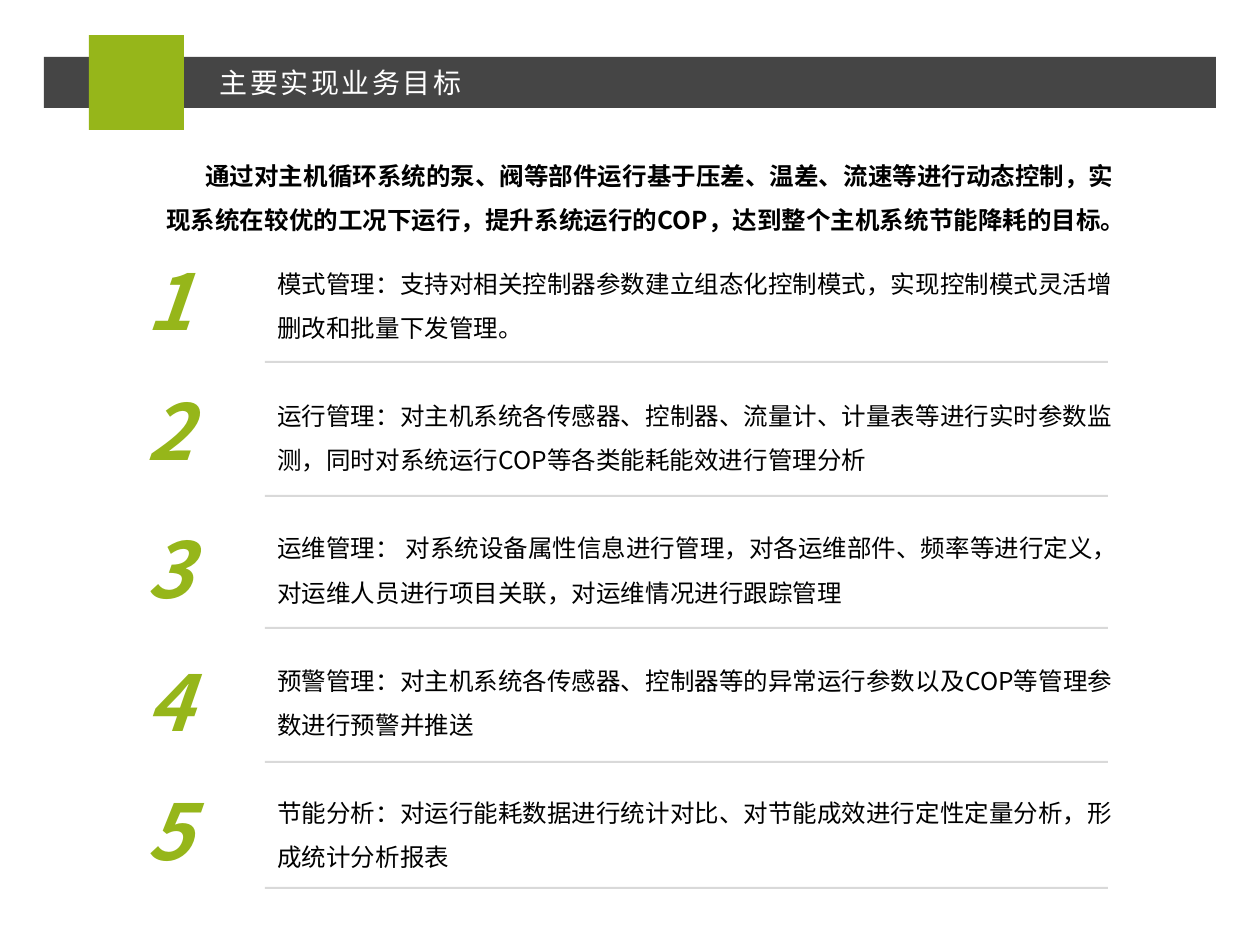
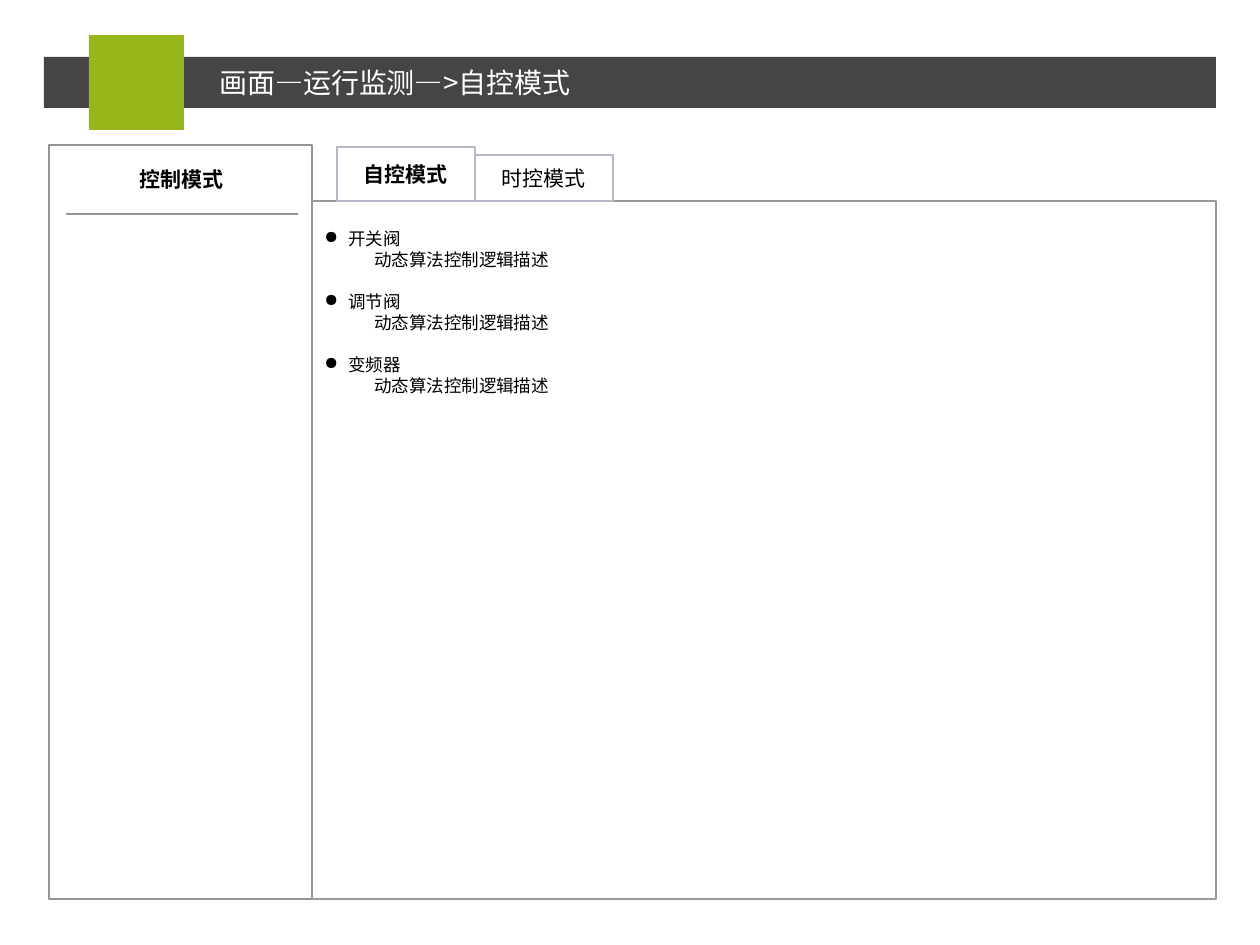
from dataclasses import dataclass

from lxml.etree import SubElement
from pptx import Presentation
from pptx.dml.color import RGBColor
from pptx.enum.shapes import MSO_CONNECTOR as Connector, MSO_SHAPE as Shape
from pptx.enum.text import MSO_ANCHOR as Anchor, MSO_AUTO_SIZE as AutoSize, PP_ALIGN as Align
from pptx.oxml.ns import qn
from pptx.util import Inches, Pt

TITLE_ONLY = 5
PX_PER_INCH = 126


@dataclass(frozen=True)
class Theme:
    font: str = "Noto Sans CJK SC"
    band: str = "454545"
    accent: str = "96B61A"
    white: str = "FFFFFF"
    ink: str = "000000"
    divider: str = "D9D9D9"
    sidebar_line: str = "939393"
    panel_line: str = "9A9A9A"
    tab_line: str = "B5B8C8"
    title_size: int = 16
    goal_size: int = 14
    numeral_size: int = 44
    tab_size: int = 12
    device_size: int = 10
    goal_leading: float = 25.2
    numeral_leading: float = 52.8
    device_leading: float = 12


THEME = Theme()

INTRO = ("通过对主机循环系统的泵、阀等部件运行基于压差、温差、流速等进行动态控制，"
         "实现系统在较优的工况下运行，提升系统运行的COP，达到整个主机系统节能降耗的目标。")

# numeral top, divider top, wording
GOALS = (
    (247, 361, "模式管理：支持对相关控制器参数建立组态化控制模式，实现控制模式灵活增删改和批量下发管理。"),
    (377, 495, "运行管理：对主机系统各传感器、控制器、流量计、计量表等进行实时参数监测，"
               "同时对系统运行COP等各类能耗能效进行管理分析"),
    (515, 627, "运维管理： 对系统设备属性信息进行管理，对各运维部件、频率等进行定义，"
               "对运维人员进行项目关联，对运维情况进行跟踪管理"),
    (648, 761, "预警管理：对主机系统各传感器、控制器等的异常运行参数以及COP等管理参数进行预警并推送"),
    (777, 887, "节能分析：对运行能耗数据进行统计对比、对节能成效进行定性定量分析，形成统计分析报表"),
)

DEVICES = ("开关阀", "调节阀", "变频器")
DEVICE_NOTE = "动态算法控制逻辑描述"


def px(length):
    return round(length * Inches(1) / PX_PER_INCH)


def rgb(color):
    return RGBColor.from_string(color)


def add_run(paragraph, text, size, color=THEME.ink, bold=False, italic=False):
    run = paragraph.add_run()
    run.text = text
    font = run.font
    font.size, font.bold, font.italic = Pt(size), bold, italic
    font.color.rgb = rgb(color)
    font.name = THEME.font
    SubElement(font._element, qn("a:ea"), typeface=THEME.font)
    return run


def add_box(slide, bounds, fill=None, line=None):
    box = slide.shapes.add_shape(Shape.RECTANGLE, *map(px, bounds))
    box.shadow.inherit = False
    if fill:
        box.fill.solid()
        box.fill.fore_color.rgb = rgb(fill)
    else:
        box.fill.background()
    if line:
        box.line.color.rgb = rgb(line)
        box.line.width = Pt(1)
    else:
        box.line.fill.background()
    return box


def add_label_box(slide, bounds, label, bold=False, fill=None, line=None):
    frame = add_box(slide, bounds, fill, line).text_frame
    frame.vertical_anchor = Anchor.MIDDLE
    frame.paragraphs[0].alignment = Align.CENTER
    add_run(frame.paragraphs[0], label, THEME.tab_size, bold=bold)


def add_text_frame(slide, bounds):
    frame = slide.shapes.add_textbox(*map(px, bounds)).text_frame
    frame.word_wrap = True
    return frame


def next_paragraph(frame, leading, space_before=0):
    """Return the empty first paragraph, or a new one set apart by space_before."""
    if frame.paragraphs[0].runs:
        paragraph = frame.add_paragraph()
        paragraph.space_before = Pt(space_before)
    else:
        paragraph = frame.paragraphs[0]
    paragraph.line_spacing = Pt(leading)
    return paragraph


def set_indent(paragraph, left, first_line):
    properties = paragraph._p.get_or_add_pPr()
    properties.set("marL", str(px(left)))
    properties.set("indent", str(px(first_line)))
    return properties


def add_rule(slide, left, right, y, color):
    rule = slide.shapes.add_connector(Connector.STRAIGHT, px(left), px(y), px(right), px(y))
    rule.line.color.rgb = rgb(color)
    rule.line.width = Pt(1)
    SubElement(rule._element.spPr, qn("a:effectLst"))


def add_titled_slide(deck, wording, title_width, tracking=0):
    slide = deck.slides.add_slide(deck.slide_layouts[TITLE_ONLY])
    add_box(slide, (44, 57, 1172, 51), fill=THEME.band)
    add_box(slide, (89, 35, 95, 95), fill=THEME.accent)

    title = slide.shapes.title
    title.left, title.top, title.width, title.height = map(px, (207, 64, title_width, 37))
    slide.shapes._spTree.append(title._element)  # bring in front of the band
    frame = title.text_frame
    frame.auto_size = AutoSize.NONE
    frame.vertical_anchor = Anchor.MIDDLE
    frame.paragraphs[0].alignment = Align.LEFT
    run = add_run(frame.paragraphs[0], wording, THEME.title_size, THEME.white)
    if tracking:
        run.font._element.set("spc", str(tracking))
    return slide


def build_goals(deck):
    slide = add_titled_slide(deck, "主要实现业务目标", 469, tracking=150)

    goals = add_text_frame(slide, (265, 248, 871, 680))
    for numeral, (numeral_top, divider_top, wording) in enumerate(GOALS, 1):
        goal = next_paragraph(goals, THEME.goal_leading, THEME.goal_leading)
        add_run(goal, wording, THEME.goal_size)
        badge = add_text_frame(slide, (134, numeral_top, 110, 106))
        add_run(next_paragraph(badge, THEME.numeral_leading), str(numeral),
                THEME.numeral_size, THEME.accent, bold=True, italic=True)
        add_box(slide, (265, divider_top, 843, 2), fill=THEME.divider)

    intro = next_paragraph(add_text_frame(slide, (154, 140, 983, 102)), THEME.goal_leading)
    set_indent(intro, 0, 39)
    add_run(intro, INTRO, THEME.goal_size, bold=True)


def add_device_panel(slide, bounds):
    frame = add_box(slide, bounds, line=THEME.panel_line).text_frame
    frame.vertical_anchor = Anchor.TOP
    frame.margin_top = px(27)
    for device in DEVICES:
        heading = next_paragraph(frame, THEME.device_leading, THEME.device_leading)
        heading.alignment = Align.LEFT
        SubElement(set_indent(heading, 24, -24), qn("a:buChar"), char="●")
        add_run(heading, device, THEME.device_size)
        note = next_paragraph(frame, THEME.device_leading)
        note.alignment = Align.LEFT
        set_indent(note, 50, 0)
        add_run(note, DEVICE_NOTE, THEME.device_size)


def build_control_mode(deck):
    slide = add_titled_slide(deck, "画面—运行监测—>自控模式", 867)
    add_box(slide, (49, 145, 263, 754), line=THEME.sidebar_line)
    add_label_box(slide, (66, 155, 232, 49), "控制模式", bold=True, fill=THEME.white)
    add_rule(slide, 66, 298, 214, THEME.sidebar_line)
    add_device_panel(slide, (312, 201, 904, 698))
    add_label_box(slide, (337, 147, 138, 54), "自控模式", bold=True, line=THEME.tab_line)
    add_label_box(slide, (475, 155, 138, 46), "时控模式", line=THEME.tab_line)


def main():
    deck = Presentation()
    deck.slide_width, deck.slide_height = Inches(10), Inches(7.5)
    build_goals(deck)
    build_control_mode(deck)
    deck.save("out.pptx")


if __name__ == "__main__":
    main()
